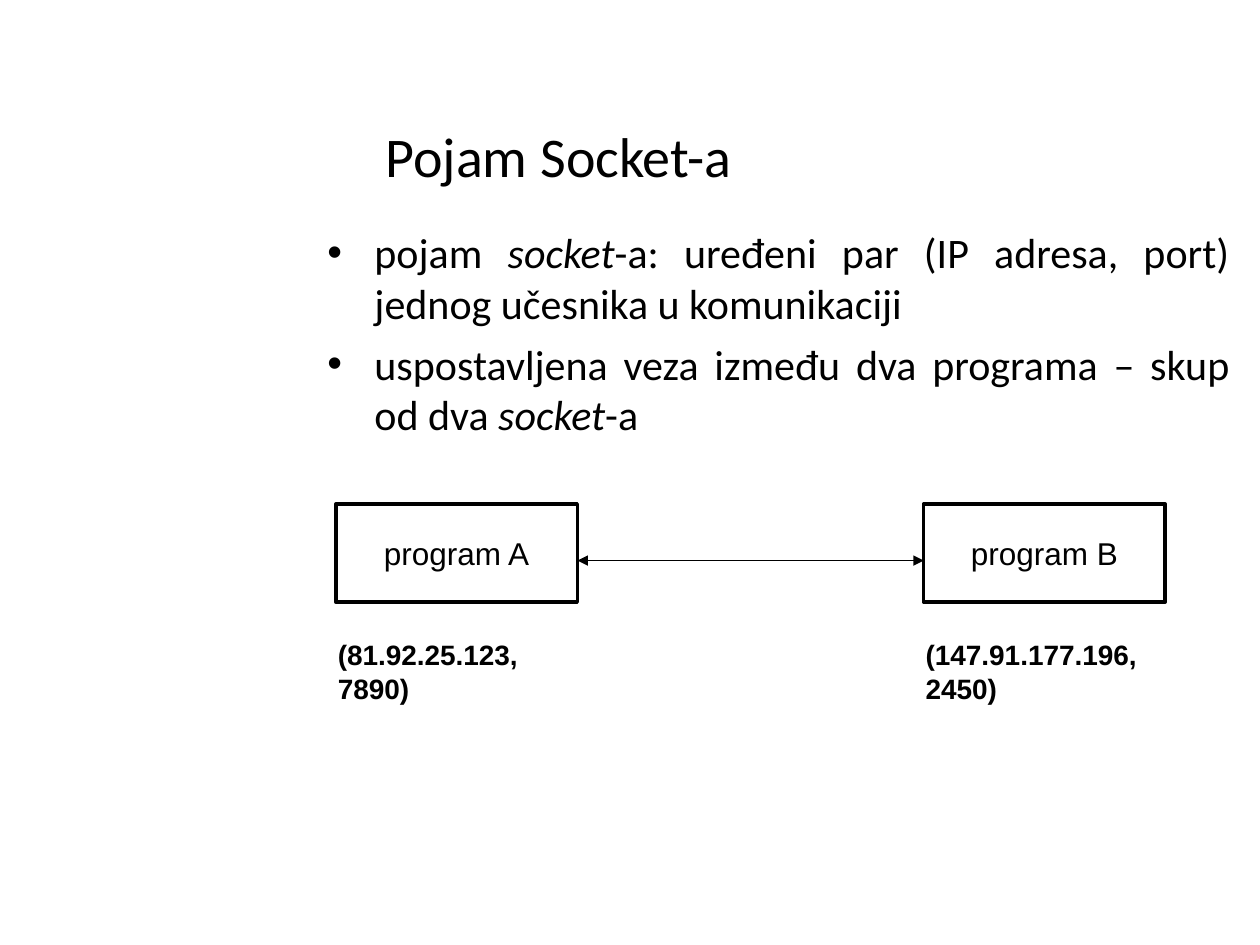
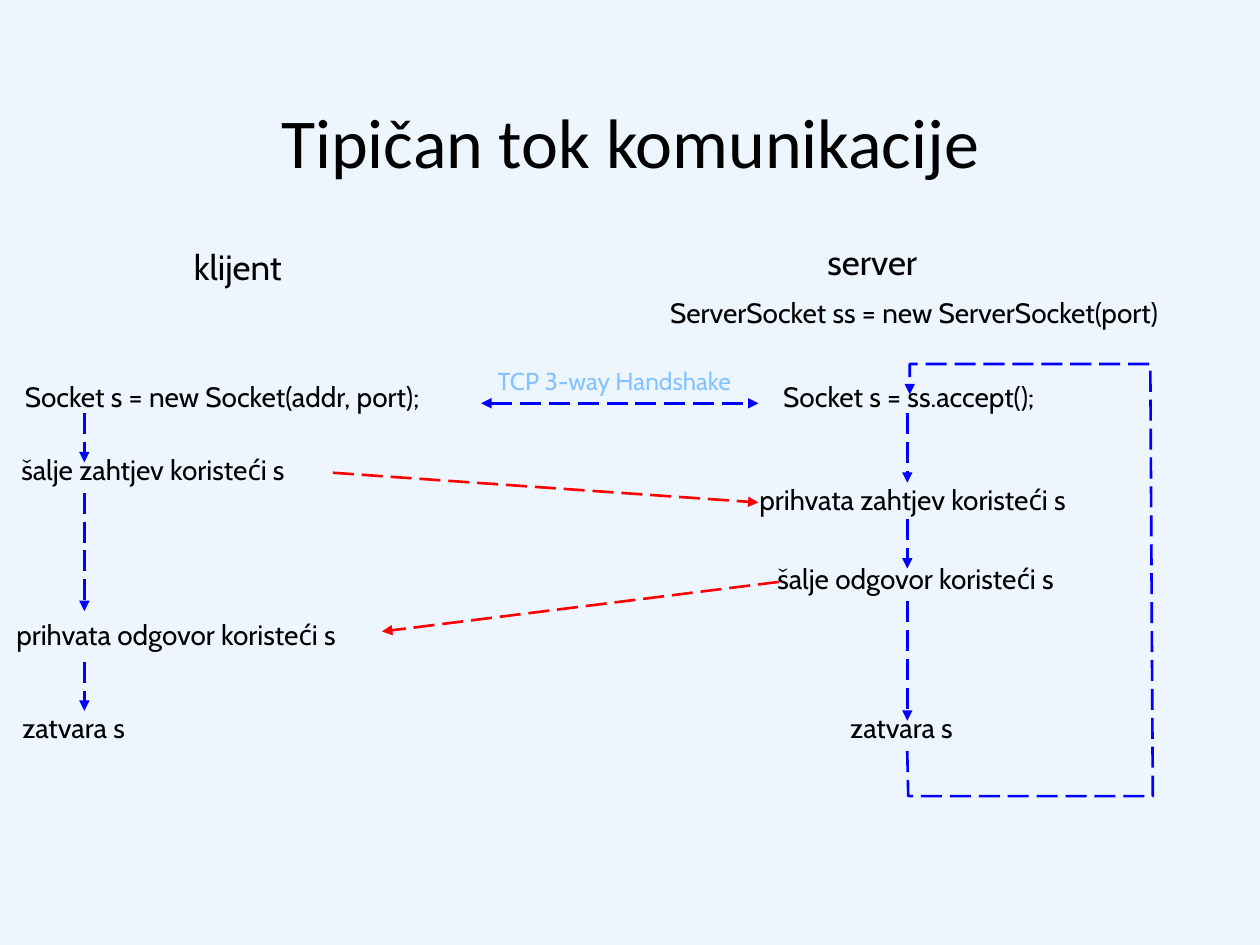
from lxml.etree import SubElement
from pptx import Presentation
from pptx.dml.color import RGBColor
from pptx.enum.dml import MSO_LINE as Dash
from pptx.enum.shapes import MSO_CONNECTOR as Link, MSO_SHAPE as Form
from pptx.enum.text import MSO_ANCHOR as Anchor, MSO_AUTO_SIZE as Auto, PP_ALIGN as Align
from pptx.oxml.ns import qn
from pptx.util import Cm, Pt

BLACK = RGBColor(0, 0, 0)
BLUE = RGBColor(0, 0, 255)
RED = RGBColor(255, 0, 0)
SKY = RGBColor(0x84, 0xC3, 0xFF)
PALE = RGBColor(0xED, 0xF5, 0xFF)


def label(slide, words, box, size, face, tint=BLACK, wrap=False):
    """Add a one-paragraph text box and return its text frame."""
    frame = slide.shapes.add_textbox(*map(Cm, box)).text_frame
    frame.word_wrap = wrap
    frame.auto_size = Auto.SHAPE_TO_FIT_TEXT
    para = frame.paragraphs[0]
    para.text = words
    para.font.size, para.font.name = Pt(size), face
    para.font.color.rgb = tint
    return frame


def stroke(shape, tint, width, dash=None, ends=()):
    """Set the outline and its arrowheads, and drop the shadow."""
    shape.line.color.rgb = tint
    shape.line.width = Pt(width)
    if dash:
        shape.line.dash_style = dash
    props = shape._element.spPr
    for end in ends:
        SubElement(props.find(qn("a:ln")), qn(f"a:{end}End"), type="triangle")
    SubElement(props, qn("a:effectLst"))


deck = Presentation()
deck.slide_width, deck.slide_height = Cm(25.4), Cm(19.05)
blank = deck.slide_layouts[6]
pair, flow = [deck.slides.add_slide(blank) for _ in range(2)]

# Titles
for slide, words, box, size, align in (
    (pair, "Pojam Socket-a", (7.52, 0.76, 17.55, 3.18), 32, Align.LEFT),
    (flow, "Tipičan tok komunikacije", (0.64, 1.7, 24.13, 2.11), 40, Align.CENTER),
):
    frame = label(slide, words, box, size, "Calibri", wrap=True)
    frame.auto_size = Auto.NONE
    frame.vertical_anchor = Anchor.BOTTOM
    frame.paragraphs[0].alignment = align

# Slide 1: definition of a socket
points = (
    ("pojam ", "socket", "-a: uređeni par (IP adresa, port) jednog učesnika u komunikaciji"),
    ("uspostavljena veza između dva programa – skup od dva ", "socket", "-a"),
)
body = pair.shapes.add_textbox(Cm(6.35), Cm(4.45), Cm(18.69), Cm(12.57)).text_frame
body.word_wrap = True
for i, parts in enumerate(points):
    para = body.add_paragraph() if i else body.paragraphs[0]
    props = para._p.get_or_add_pPr()
    props.set("marL", str(Cm(0.95)))
    props.set("indent", str(Cm(-0.95)))
    SubElement(props, qn("a:buFont"), typeface="Arial")
    SubElement(props, qn("a:buChar"), char="•")
    para.alignment = Align.JUSTIFY
    if i:
        para.space_before = Pt(6)
    para.font.size, para.font.name = Pt(24), "Calibri"
    para.font.color.rgb = BLACK
    for part in parts:
        run = para.add_run()
        run.text = part
        if part == "socket":
            run.font.italic = True

for left, name, addr, width in (
    (6.77, "program A", "(81.92.25.123, 7890)", 5.72),
    (18.62, "program B", "(147.91.177.196, 2450)", 6.15),
):
    box = pair.shapes.add_shape(Form.RECTANGLE, Cm(left), Cm(10.16), Cm(4.87), Cm(1.98))
    box.fill.background()
    stroke(box, BLACK, 2)
    frame = box.text_frame
    frame.word_wrap = False
    frame.vertical_anchor = Anchor.MIDDLE
    para = frame.paragraphs[0]
    para.text = name
    para.alignment = Align.CENTER
    para.font.size, para.font.name = Pt(18), "Arial"
    para.font.color.rgb = BLACK
    frame = label(pair, addr, (left - 0.21, 12.73, width, 1.63), 16, "Arial", wrap=True)
    frame.paragraphs[0].font.bold = True

link = pair.shapes.add_connector(Link.STRAIGHT, Cm(11.64), Cm(11.3), Cm(18.62), Cm(11.3))
stroke(link, BLACK, 0.75, ends=("head", "tail"))

# Slide 2: client and server steps
flow.background.fill.solid()
flow.background.fill.fore_color.rgb = PALE

label(flow, "klijent", (3.66, 4.83, 2.51, 1.12), 20, "Cabin")
label(flow, "server", (16.43, 4.72, 2.59, 1.12), 20, "Cabin")
label(flow, "TCP 3-way Handshake", (9.78, 7.26, 5.64, 0.86), 14, "Cabin", SKY)
frame = label(flow, "ServerSocket ss = new ServerSocket(port)", (13.26, 5.92, 11.38, 0.86), 16, "Cabin")
frame.paragraphs[0].line_spacing = 0.9

for left, top, width, words in (
    (0.25, 7.52, 9.42, "Socket s = new Socket(addr, port);"),
    (0.18, 8.99, 6.5, "šalje zahtjev koristeći s"),
    (0.08, 12.32, 7.87, "prihvata odgovor koristeći s"),
    (0.2, 14.2, 2.84, "zatvara s"),
    (15.54, 7.52, 6.17, "Socket s = ss.accept();"),
    (15.06, 9.6, 7.52, "prihvata zahtjev koristeći s"),
    (15.42, 11.2, 6.86, "šalje odgovor koristeći s"),
    (16.89, 14.2, 2.84, "zatvara s"),
):
    label(flow, words, (left, top, width, 0.94), 16, "Cabin")

client, server = 1.7, 18.29
arrows = [
    (9.7, 8.13, 15.29, 8.13, BLUE, ("head", "tail")),
    (6.71, 9.53, 15.29, 10.13, RED, ("tail",)),
    (15.7, 11.73, 7.7, 12.73, RED, ("tail",)),
]
for x, spans in (
    (client, ((8.33, 9.32), (9.93, 12.32), (13.34, 14.33))),
    (server, ((8.33, 9.73), (10.46, 11.46), (12.12, 14.53))),
):
    arrows += [(x, top, x, end, BLUE, ("tail",)) for top, end in spans]
for *ends, tint, heads in arrows:
    link = flow.shapes.add_connector(Link.STRAIGHT, *map(Cm, ends))
    stroke(link, tint, 1.5, Dash.LONG_DASH, heads)

# Return path from closing to the next accept
route = [(server, 15.14), (18.31, 16.05), (23.24, 16.05), (23.19, 7.34), (18.34, 7.34), (18.34, 7.95)]
start, *rest = [(Cm(x), Cm(y)) for x, y in route]
pen = flow.shapes.build_freeform(*start)
pen.add_line_segments(rest, close=False)
loop = pen.convert_to_shape()
loop.fill.background()
stroke(loop, BLUE, 1.5, Dash.LONG_DASH, ("tail",))

deck.save("out.pptx")
